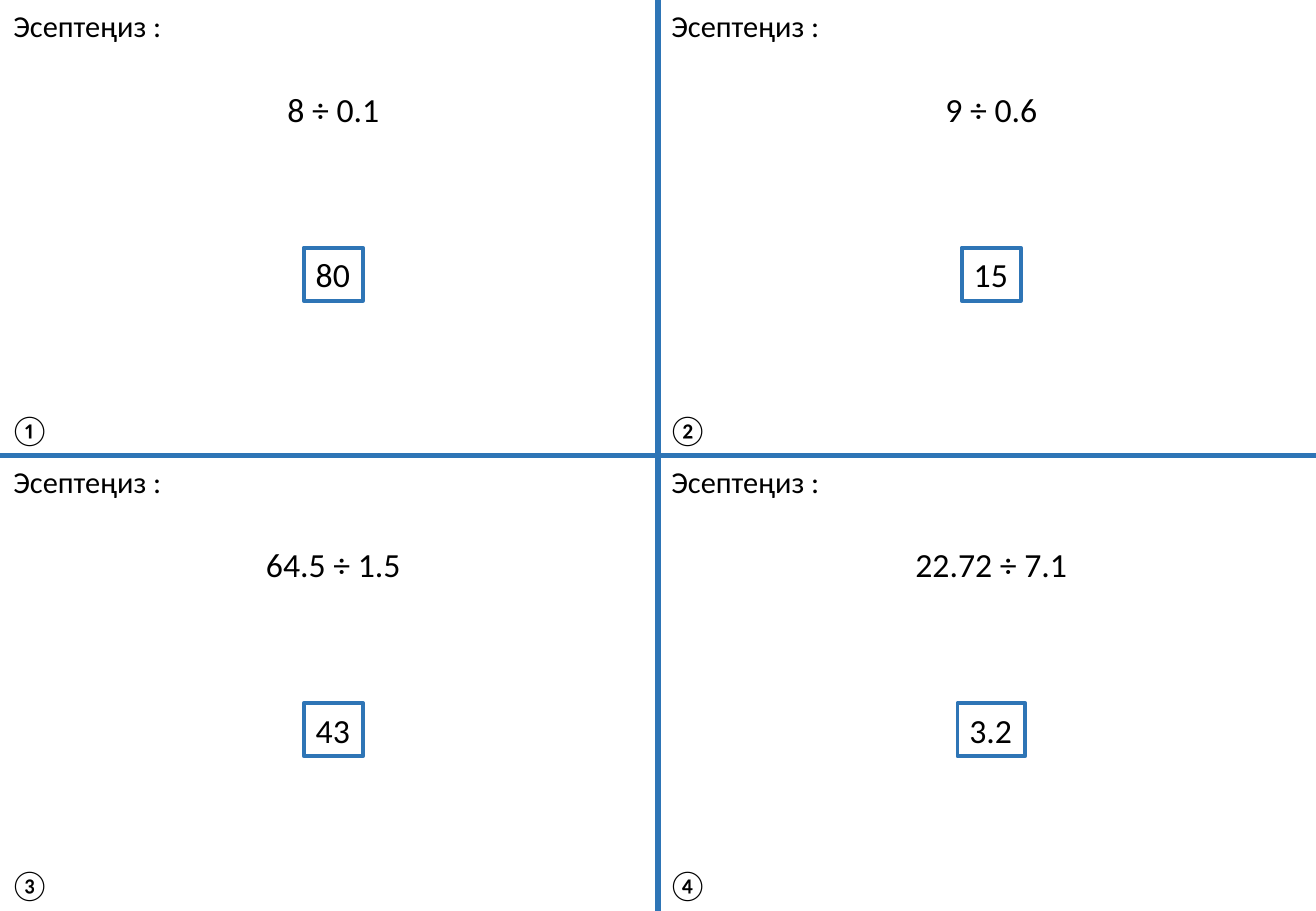
from pptx import Presentation
from pptx.dml.color import RGBColor
from pptx.enum.shapes import MSO_CONNECTOR, MSO_SHAPE
from pptx.enum.text import MSO_ANCHOR, MSO_AUTO_SIZE, PP_ALIGN
from pptx.util import Cm, Pt
from lxml import etree

LINE = MSO_CONNECTOR.STRAIGHT
RECT = MSO_SHAPE.RECTANGLE
TOP, MIDDLE = MSO_ANCHOR.TOP, MSO_ANCHOR.MIDDLE
FIT = MSO_AUTO_SIZE.SHAPE_TO_FIT_TEXT
LEFT, CENTER, JUSTIFY = PP_ALIGN.LEFT, PP_ALIGN.CENTER, PP_ALIGN.JUSTIFY

WIDTH, HEIGHT = 27.51, 19.05
CARD_W, CARD_H = WIDTH / 2, HEIGHT / 2
MID = 6.97
BLUE, WHITE, BLACK = "2E75B6", "FFFFFF", "000000"
DRAW = "http://schemas.openxmlformats.org/drawingml/2006/main"

CARDS = [
    ("①", "8 ÷ 0.1", 2.44, "80", 1.24),
    ("②", "9 ÷ 0.6", 2.44, "15", 1.24),
    ("③", "64.5 ÷ 1.5", 3.35, "43", 1.24),
    ("④", "22.72 ÷ 7.1", 3.7, "3.2", 1.42),
]


def color(code):
    """Turn a hex string into a colour."""
    return RGBColor.from_string(code)


def write(shape, text, size, align, anchor=TOP):
    """Put one line of text into a shape."""
    frame = shape.text_frame
    frame.word_wrap = False
    frame.auto_size = FIT
    frame.vertical_anchor = anchor
    para = frame.paragraphs[0]
    para.text = text
    para.alignment = align
    para.font.name = "Calibri"
    para.font.size = Pt(size)
    para.font.color.rgb = color(BLACK)


def label(slide, left, top, width, height, text, size, align=LEFT):
    """Add a text box."""
    box = slide.shapes.add_textbox(Cm(left), Cm(top), Cm(width), Cm(height))
    write(box, text, size, align)


def answer(slide, left, top, width, text):
    """Add a framed answer."""
    box = slide.shapes.add_shape(RECT, Cm(left), Cm(top), Cm(width), Cm(1.11))
    box.shadow.inherit = False
    box.fill.solid()
    box.fill.fore_color.rgb = color(WHITE)
    box.line.color.rgb = color(BLUE)
    box.line.width = Pt(2.25)
    write(box, text, 20, JUSTIFY, MIDDLE)


def card(slide, left, top, number, task, task_w, result, result_w):
    """Place one exercise card with its corner at left and top."""
    label(slide, left + 0.03, top + 0.03, 3.66, 1.02, "Эсептеңиз :", 18)
    label(slide, left + MID - task_w / 2, top + 1.73, task_w, 1.11,
          task, 20, CENTER)
    answer(slide, left + MID - result_w / 2, top + 5.18, result_w, result)
    label(slide, left - 0.05, top + 8.47, 1.37, 1.02, number, 18)


def divider(slide, x1, y1, x2, y2):
    """Draw a line between cards."""
    line = slide.shapes.add_connector(LINE, Cm(x1), Cm(y1), Cm(x2), Cm(y2))
    line.line.color.rgb = color(BLUE)
    line.line.width = Pt(3)
    etree.SubElement(line._element.spPr, f"{{{DRAW}}}effectLst")


def main():
    """Build the slide and save it."""
    deck = Presentation()
    deck.slide_width, deck.slide_height = Cm(WIDTH), Cm(HEIGHT)
    slide = deck.slides.add_slide(deck.slide_layouts[6])
    divider(slide, CARD_W, 0, CARD_W, HEIGHT)
    divider(slide, WIDTH, CARD_H, 0, CARD_H)
    for index, parts in enumerate(CARDS):
        row, col = divmod(index, 2)
        card(slide, col * CARD_W, row * CARD_H, *parts)
    deck.save("out.pptx")


if __name__ == "__main__":
    main()
